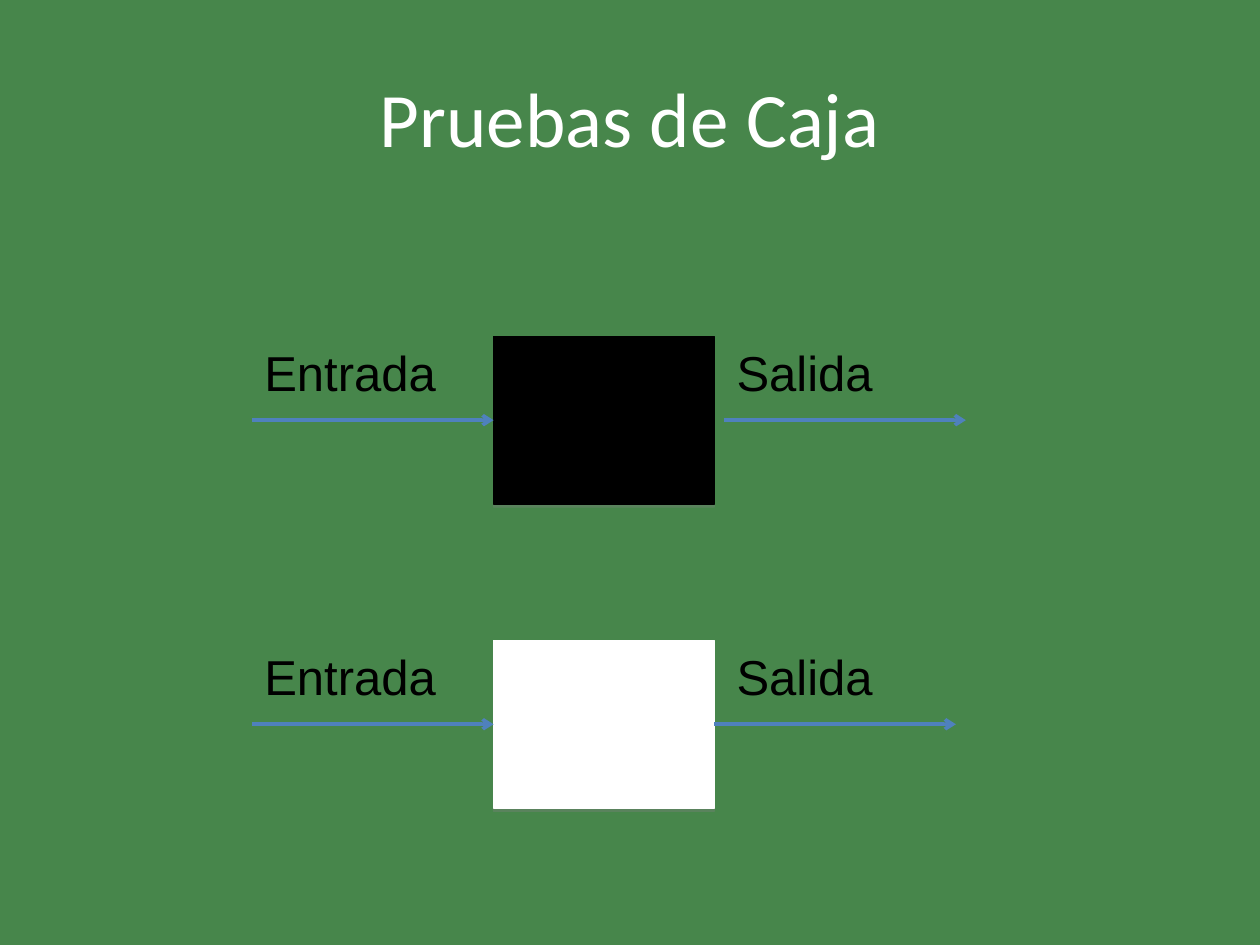
from lxml.etree import SubElement
from pptx import Presentation
from pptx.dml.color import RGBColor
from pptx.enum.shapes import MSO_CONNECTOR as Connector, MSO_SHAPE as Shape
from pptx.enum.text import MSO_ANCHOR as Anchor, MSO_AUTO_SIZE as AutoSize, PP_ALIGN as Align
from pptx.oxml.ns import qn
from pptx.util import Cm, Pt


def paint(color_format, value):
    color_format.rgb = RGBColor.from_string(value)


def write(frame, text, color, formats):
    """Put one formatted paragraph in a text frame."""
    para = frame.paragraphs[0]
    span = para.add_run()
    span.text = text
    for name, value in formats.items():
        setattr(span.font, name, value)
    paint(span.font.color, color)
    return para


TITLE_FORMAT = {"name": "Calibri", "size": Pt(44)}
LABEL_FORMAT = {"name": "Arial", "size": Pt(28)}
INPUT_LEFT, BOX_LEFT, OUTPUT_LEFT = 5.08, 9.95, 14.6
BOX_WIDTH, BOX_HEIGHT = 4.45, 3.38
ARROW_LENGTH = 4.87

deck = Presentation()
deck.slide_width, deck.slide_height = Cm(25.4), Cm(19.05)
page = deck.slides.add_slide(deck.slide_layouts[5])
page.background.fill.solid()
paint(page.background.fill.fore_color, "47864B")

title = page.shapes.title
title.left, title.top, title.width, title.height = Cm(1.27), Cm(0.76), Cm(22.86), Cm(3.18)
title.text_frame.vertical_anchor = Anchor.MIDDLE
write(title.text_frame, "Pruebas de Caja", "FFFFFF", TITLE_FORMAT).alignment = Align.CENTER

# Box colour, top of the row, and where the output arrow starts
rows = [
    ("000000", 6.78, OUTPUT_LEFT),
    ("FFFFFF", 12.91, BOX_LEFT + BOX_WIDTH),
]
for color, top, output_start in rows:
    box = page.shapes.add_shape(
        Shape.RECTANGLE, Cm(BOX_LEFT), Cm(top), Cm(BOX_WIDTH), Cm(BOX_HEIGHT))
    box.fill.solid()
    paint(box.fill.fore_color, color)
    paint(box.line.color, color)
    box.line.width = Pt(0.75)
    box.shadow.inherit = False
    effects = box._element.spPr.find(qn("a:effectLst"))
    shadow = SubElement(effects, qn("a:outerShdw"), dist=str(Pt(1.8)), dir="5400000",
                        algn="ctr", rotWithShape="0")
    shade = SubElement(shadow, qn("a:srgbClr"), val="808080")
    SubElement(shade, qn("a:alpha"), val="35000")

    middle = Cm(top + BOX_HEIGHT / 2)
    for start in (INPUT_LEFT, output_start):
        arrow = page.shapes.add_connector(
            Connector.STRAIGHT, Cm(start), middle, Cm(start + ARROW_LENGTH), middle)
        paint(arrow.line.color, "4F81BD")
        arrow.line.width = Pt(2)
        SubElement(arrow.line._get_or_add_ln(), qn("a:tailEnd"), type="arrow")
        SubElement(arrow._element.spPr, qn("a:effectLst"))

    for text, left in (("Entrada", INPUT_LEFT), ("Salida", OUTPUT_LEFT)):
        label = page.shapes.add_textbox(Cm(left), Cm(top), Cm(ARROW_LENGTH), Cm(1.45))
        label.text_frame.word_wrap = True
        label.text_frame.auto_size = AutoSize.SHAPE_TO_FIT_TEXT
        write(label.text_frame, text, "000000", LABEL_FORMAT)

deck.save("out.pptx")
